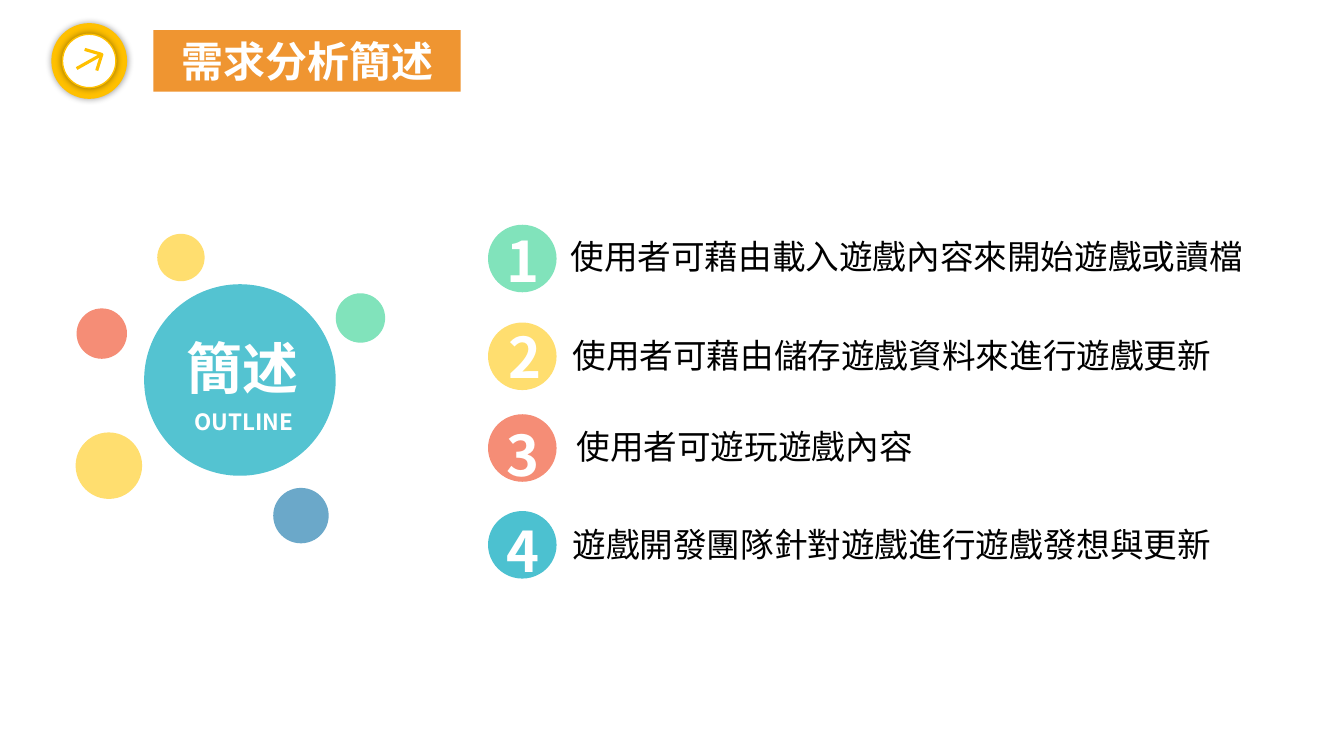
import pptx
import pptx.util
import pptx.dml.color
import pptx.enum.shapes
import pptx.enum.text
import pptx.oxml
import pptx.oxml.ns

Inches = pptx.util.Inches
Pt = pptx.util.Pt
RGBColor = pptx.dml.color.RGBColor
SHAPES = pptx.enum.shapes.MSO_SHAPE
ALIGN = pptx.enum.text.PP_ALIGN

FONT = "Noto Sans CJK SC"
WHITE = RGBColor(0xFF, 0xFF, 0xFF)
BLACK = RGBColor(0x00, 0x00, 0x00)
ORANGE = RGBColor(0xEF, 0x95, 0x31)
GOLD = RGBColor(0xFF, 0xC0, 0x00)
GREEN = RGBColor(0x81, 0xE3, 0xBB)
YELLOW = RGBColor(0xFF, 0xDE, 0x6F)
CORAL = RGBColor(0xF5, 0x8D, 0x76)
TEAL = RGBColor(0x4C, 0xC1, 0xD0)
HUB_TEAL = RGBColor(0x54, 0xC3, 0xD1)
BLUE = RGBColor(0x6B, 0xA8, 0xC9)

SATELLITES = [
    (0, 1.97, 0.66, YELLOW),
    (0.01, 0.74, 0.5, CORAL),
    (0.81, 0, 0.47, YELLOW),
    (2.58, 0.59, 0.49, GREEN),
    (1.96, 2.52, 0.55, BLUE),
]
REQUIREMENTS = [
    (0, GREEN, 0.09, -0.03, 0.72, 0.06, 6.93, "使用者可藉由載入遊戲內容來開始遊戲或讀檔"),
    (0.97, YELLOW, 0.1, -0.05, 0.74, 0.07, 6.6, "使用者可藉由儲存遊戲資料來進行遊戲更新"),
    (1.88, CORAL, 0.09, 0.01, 0.78, 0.07, 3.57, "使用者可遊玩遊戲內容"),
    (2.84, TEAL, 0.09, 0, 0.74, 0.08, 6.6, "遊戲開發團隊針對遊戲進行遊戲發想與更新"),
]


def add_filled(slide, kind, left, top, width, height, color):
    shape = slide.shapes.add_shape(
        kind, Inches(left), Inches(top), Inches(width), Inches(height))
    shape.shadow.inherit = False
    shape.fill.solid()
    shape.fill.fore_color.rgb = color
    shape.line.fill.background()
    return shape


def write(shape, text, size, color, bold, wrap=False, alignment=ALIGN.LEFT):
    frame = shape.text_frame
    frame.word_wrap = wrap
    frame.auto_size = pptx.enum.text.MSO_AUTO_SIZE.SHAPE_TO_FIT_TEXT
    paragraph = frame.paragraphs[0]
    run = paragraph.add_run()
    run.text = text
    paragraph.alignment = alignment
    paragraph.font.size = Pt(size)
    paragraph.font.bold = bold
    paragraph.font.color.rgb = color
    paragraph.font.name = FONT
    east_asian = pptx.oxml.ns.qn("a:ea")
    paragraph.font._element.makeelement(east_asian)
    properties = run.font._element
    properties.append(properties.makeelement(east_asian, {"typeface": FONT}))


def add_label(slide, left, top, width, height, text, size, color=WHITE, bold=True):
    box = slide.shapes.add_textbox(
        Inches(left), Inches(top), Inches(width), Inches(height))
    write(box, text, size, color, bold)


def set_line(shape, width):
    shape.line.color.rgb = GOLD
    shape.line.width = Pt(width)


def add_soft_shadow(shape):
    effects = shape._element.spPr.find(pptx.oxml.ns.qn("a:effectLst"))
    effects.append(pptx.oxml.parse_xml(
        f'<a:outerShdw {pptx.oxml.ns.nsdecls("a")} blurRad="{Pt(5)}" dist="0" dir="0">'
        '<a:srgbClr val="000000"><a:alpha val="40000"/></a:srgbClr></a:outerShdw>'))


def add_arrow_badge(slide, left, top):
    for inset, size, color, width in [(0, 0.71, GOLD, 3), (0.09, 0.53, WHITE, 1)]:
        ring = add_filled(
            slide, SHAPES.OVAL, left + inset, top + inset, size, size, color)
        set_line(ring, width)
        add_soft_shadow(ring)
    tip = (left + 0.48, top + 0.29)
    builder = slide.shapes.build_freeform(
        Inches(left + 0.31), Inches(top + 0.24), scale=1.0)
    builder.add_line_segments(
        [(Inches(x), Inches(y)) for x, y in [tip, (left + 0.43, top + 0.45)]],
        close=False)
    chevron = builder.convert_to_shape()
    chevron.shadow.inherit = False
    chevron.fill.background()
    set_line(chevron, 2.25)
    shaft = slide.shapes.add_connector(
        pptx.enum.shapes.MSO_CONNECTOR.STRAIGHT,
        Inches(left + 0.23), Inches(top + 0.43), Inches(tip[0]), Inches(tip[1]))
    properties = shaft._element.spPr
    set_line(shaft, 2.25)
    properties.append(properties.makeelement(pptx.oxml.ns.qn("a:effectLst")))


def add_title(slide, left, top, width, height):
    banner = add_filled(slide, SHAPES.RECTANGLE, left, top, width, height, ORANGE)
    write(banner, "需求分析簡述", 30, WHITE, True, True, ALIGN.CENTER)


def add_requirements(slide, left, top):
    for number, requirement in enumerate(REQUIREMENTS, start=1):
        offset, color, digit_x, digit_y, text_x, text_y, width, text = requirement
        row = top + offset
        add_filled(slide, SHAPES.OVAL, left, row, 0.68, 0.67, color)
        add_label(slide, left + digit_x, row + digit_y, 0.51, 0.72, str(number), 40)
        add_label(slide, left + text_x, row + text_y, width, 0.5, text, 24, BLACK, False)


def add_outline_hub(slide, left, top):
    add_filled(slide, SHAPES.OVAL, left + 0.68, top + 0.5, 1.9, 1.9, HUB_TEAL)
    add_label(slide, left + 1, top + 0.94, 1.32, 0.77, "簡述", 40)
    add_label(slide, left + 1.08, top + 1.68, 1.22, 0.37, "OUTLINE", 16)
    for x, y, diameter, color in SATELLITES:
        add_filled(slide, SHAPES.OVAL, left + x, top + y, diameter, diameter, color)


presentation = pptx.Presentation()
presentation.slide_width = Inches(13.33)
presentation.slide_height = Inches(7.5)
slide = presentation.slides.add_slide(presentation.slide_layouts[6])
add_title(slide, 1.52, 0.3, 3.05, 0.61)
add_requirements(slide, 4.84, 2.23)
add_outline_hub(slide, 0.75, 2.32)
add_arrow_badge(slide, 0.53, 0.25)
presentation.save("out.pptx")
